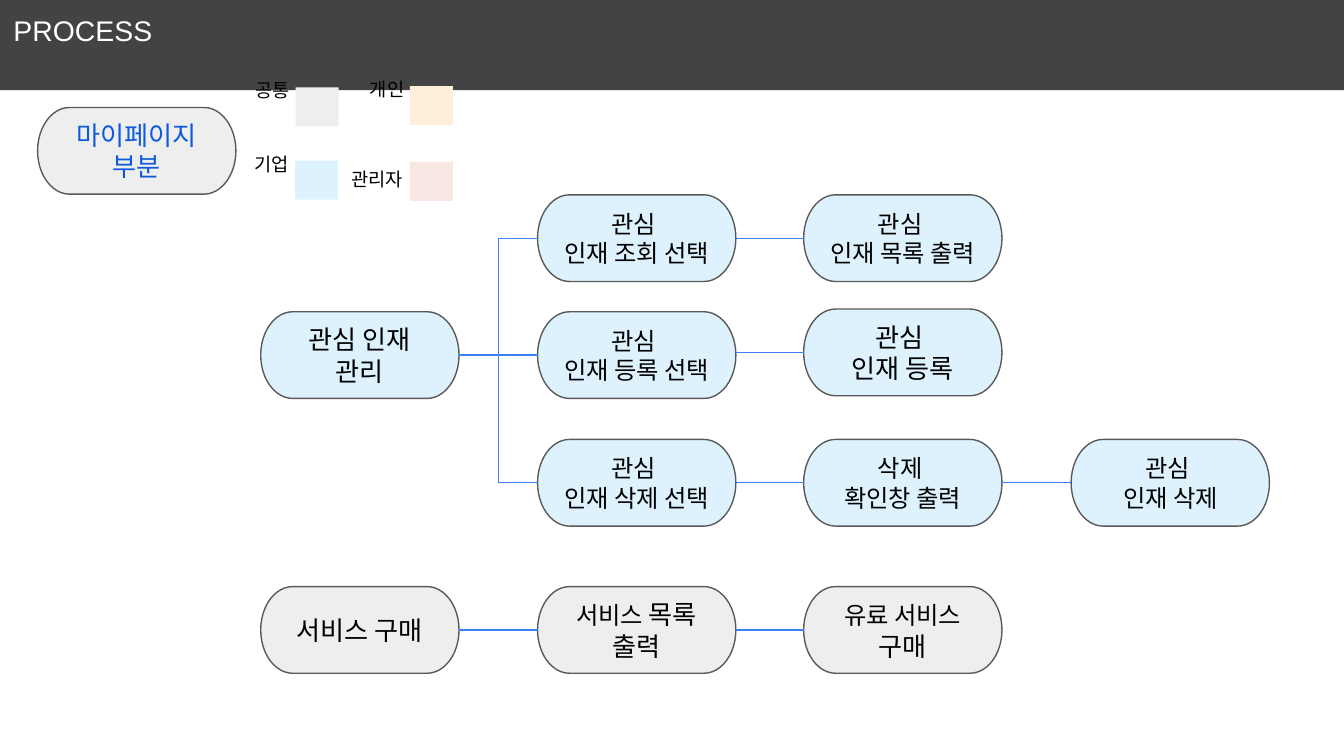
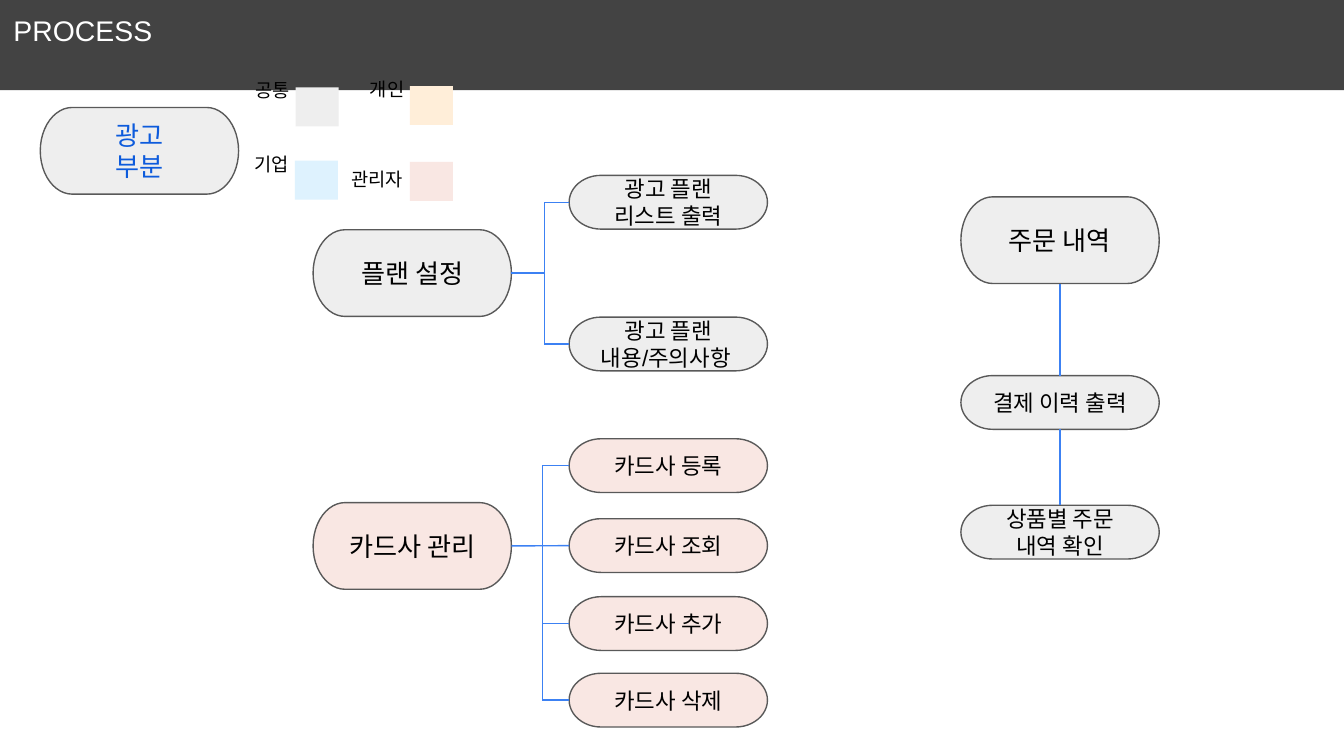
from dataclasses import dataclass
from typing import NamedTuple, Optional

from lxml.etree import SubElement as add_sub
from pptx import Presentation
from pptx.dml.color import RGBColor as Rgb
from pptx.enum.shapes import MSO_CONNECTOR as Wire, MSO_SHAPE as Form
from pptx.enum.text import MSO_ANCHOR as Anchor, MSO_AUTO_SIZE as Fit, PP_ALIGN as Align
from pptx.oxml.ns import qn
from pptx.shapes.autoshape import Shape
from pptx.slide import Slide
from pptx.text.text import TextFrame
from pptx.util import Emu, Inches, Pt

WIDE, HIGH = Inches(10), Inches(5.625)
COLS, ROWS = 100, 56.25
FONT = "Arial"
INKS = {
    "band": "434343", "white": "FFFFFF", "black": "000000", "head": "0D5BDC",
    "edge": "595959", "wire": "3C81F3", "all": "EEEEEE", "user": "FFEED9",
    "firm": "DEF2FE", "admin": "F9E7E3",
}
PILL_WIDE, PILL_TALL, PILL_LOW = 14.75, 6.45, 4.0
TOP, LEFT, BOTTOM, RIGHT = range(4)


class Run(NamedTuple):
    text: str
    size: float


Lines = tuple[tuple[Run, ...], ...]


@dataclass(frozen=True)
class Pill:
    col: float
    row: float
    lines: Lines
    fill: str = "all"
    tall: float = PILL_TALL
    ink: str = "black"


@dataclass(frozen=True)
class Key:
    name: str
    fill: str
    col: float
    row: float
    wide: float
    box_col: float
    box_row: float
    lift: float = 2.5
    inset: float = 1.0


KEYS = (
    Key("공통", "all", 17.8, 5.5, 5, 22, 6.5),
    Key("개인", "user", 26.3, 5.4, 5, 30.5, 6.4),
    Key("기업", "firm", 17.7, 11, 5, 21.95, 11.95),
    Key("관리자", "admin", 25.2, 11.1, 6.4, 30.5, 12.05, 0.5, 0.3),
)


def x(cols: float) -> Emu:
    return Emu(round(WIDE * cols / COLS))


def y(rows: float) -> Emu:
    return Emu(round(HIGH * rows / ROWS))


def hue(name: str) -> Rgb:
    return Rgb.from_string(INKS[name])


def say(text: str, size: float) -> Lines:
    return tuple((Run(part, size),) for part in text.split("\n"))


def write(frame: TextFrame, lines: Lines, ink: str, align: Align) -> None:
    frame.word_wrap = True
    for i, line in enumerate(lines):
        para = frame.paragraphs[0] if i == 0 else frame.add_paragraph()
        para.alignment = align
        for part in line:
            run = para.add_run()
            run.text = part.text
            run.font.name = FONT
            run.font.size = Pt(part.size)
            run.font.color.rgb = hue(ink)


def pad(frame: TextFrame, anchor: Anchor) -> None:
    frame.vertical_anchor = anchor
    frame.margin_left = frame.margin_right = x(1)
    frame.margin_top = frame.margin_bottom = y(1)


def paint(shape: Shape, fill: str, edge: Optional[str] = None) -> None:
    shape.shadow.inherit = False
    shape.fill.solid()
    shape.fill.fore_color.rgb = hue(fill)
    if edge:
        shape.line.color.rgb = hue(edge)
        shape.line.width = Pt(0.75)
    else:
        shape.line.fill.background()


def draw_pill(page: Slide, pill: Pill) -> Shape:
    shape = page.shapes.add_shape(
        Form.FLOWCHART_TERMINATOR, x(pill.col), y(pill.row), x(PILL_WIDE), y(pill.tall))
    paint(shape, pill.fill, "edge")
    pad(shape.text_frame, Anchor.MIDDLE)
    write(shape.text_frame, pill.lines, pill.ink, Align.CENTER)
    return shape


def draw_pills(page: Slide, pills: dict[str, Pill]) -> dict[str, Shape]:
    return {name: draw_pill(page, pill) for name, pill in pills.items()}


def draw_keys(page: Slide) -> None:
    group = page.shapes.add_group_shape()
    for key in KEYS:
        label = group.shapes.add_textbox(x(key.col), y(key.row), x(key.wide), y(4.4))
        frame = label.text_frame
        frame.vertical_anchor = Anchor.MIDDLE
        frame.margin_left = x(key.inset)
        frame.margin_bottom = y(key.lift)
        write(frame, say(key.name, 10), "black", Align.CENTER)
        box = group.shapes.add_shape(
            Form.RECTANGLE, x(key.box_col), y(key.box_row), x(3.2), y(2.9))
        paint(box, key.fill)


def wire(page: Slide, x1: int, y1: int, x2: int, y2: int):
    line = page.shapes.add_connector(Wire.STRAIGHT, x1, y1, x2, y2)
    line.line.color.rgb = hue("wire")
    line.line.width = Pt(0.75)
    add_sub(line._element.spPr, qn("a:effectLst"))
    return line


def tie(page: Slide, a: Shape, b: Shape, out: int = RIGHT, into: int = LEFT) -> None:
    line = wire(page, 0, 0, 0, 0)
    line.begin_connect(a, out)
    line.end_connect(b, into)


def chain(page: Slide, *shapes: Shape, out: int = RIGHT, into: int = LEFT) -> None:
    for a, b in zip(shapes, shapes[1:]):
        tie(page, a, b, out, into)


def mid(shape: Shape) -> int:
    return shape.top + shape.height // 2


def tree(page: Slide, root: Shape, trunk: float, leaves: list[Shape],
         through: Optional[Shape] = None) -> None:
    stem = x(trunk)
    if through:
        tie(page, root, through)
    else:
        wire(page, root.left + root.width, mid(root), stem, mid(root))
    wire(page, stem, mid(leaves[0]), stem, mid(leaves[-1]))
    for leaf in leaves:
        wire(page, leaf.left, mid(leaf), stem, mid(leaf))


def new_page(deck) -> Slide:
    page = deck.slides.add_slide(deck.slide_layouts[5])
    band = page.shapes.title
    band.left, band.top, band.width, band.height = 0, 0, WIDE, y(6.7)
    band.fill.solid()
    band.fill.fore_color.rgb = hue("band")
    frame = band.text_frame
    frame.auto_size = Fit.NONE
    pad(frame, Anchor.TOP)
    write(frame, say("PROCESS", 15.2), "white", Align.LEFT)
    return page


def my_page(deck) -> None:
    page = new_page(deck)
    c1, c2, c3, c4 = 19.4, 40, 59.8, 79.7
    r1, r2, r3, r4 = 14.5, 23.2, 32.7, 43.65
    got = draw_pills(page, {
        "head": Pill(2.8, 8, say("마이페이지 부분", 14), ink="head"),
        "care": Pill(c1, r2, say("관심 인재 관리", 14), "firm"),
        "buy": Pill(c1, r4, say("서비스 구매", 14)),
        "view": Pill(c2, r1, say("관심 \n인재 조회 선택", 13), "firm"),
        "add": Pill(c2, r2, say("관심 \n인재 등록 선택", 13), "firm"),
        "drop": Pill(c2, r3, say("관심 \n인재 삭제 선택", 13), "firm"),
        "list": Pill(c3, r1, say("관심 \n인재 목록 출력", 13), "firm"),
        "ask": Pill(c3, r3, say("삭제 \n확인창 출력", 13), "firm"),
        "added": Pill(c3, 23, say("관심 \n인재 등록", 14), "firm"),
        "gone": Pill(c4, r3, say("관심 \n인재 삭제", 13), "firm"),
        "goods": Pill(c2, r4, ((Run("서비스", 13), Run(" 목록 출력", 14)),)),
        "paid": Pill(c3, r4, ((Run("유료 서비스", 13), Run(" 구매", 14)),)),
    })
    tree(page, got["care"], 37.1, [got["view"], got["add"], got["drop"]])
    chain(page, got["view"], got["list"])
    row = mid(got["added"])
    wire(page, got["add"].left + got["add"].width, row, got["added"].left, row)
    chain(page, got["drop"], got["ask"], got["gone"])
    chain(page, got["buy"], got["goods"], got["paid"])
    draw_keys(page)


def ad_page(deck) -> None:
    page = new_page(deck)
    c1, c2, c3 = 23.3, 42.35, 71.5
    got = draw_pills(page, {
        "head": Pill(3, 8, say("광고\n부분", 14), ink="head"),
        "card": Pill(c1, 37.4, say("카드사 관리", 14), "admin"),
        "list": Pill(c2, 13.05, say("광고 플랜 리스트 출력", 12), tall=PILL_LOW),
        "note": Pill(c2, 23.6, say("광고 플랜\n내용/주의사항 ", 12), tall=PILL_LOW),
        "plan": Pill(c1, 17.1, say("플랜 설정", 14)),
        "order": Pill(c3, 14.65, say("주문 내역", 14)),
        "check": Pill(c3, 37.6, say("상품별 주문 내역 확인", 12), tall=PILL_LOW),
        "past": Pill(c3, 27.95, say("결제 이력 출력", 12), tall=PILL_LOW),
    })
    steps = (("등록", 32.65), ("조회", 38.6), ("추가", 44.4), ("삭제", 50.1))
    cards = [draw_pill(page, Pill(c2, row, say(f"카드사 {name}", 12), "admin", PILL_LOW))
             for name, row in steps]
    first, look, more, last = cards
    tree(page, got["plan"], 40.5, [got["list"], got["note"]])
    chain(page, got["order"], got["past"], got["check"], out=BOTTOM, into=TOP)
    tree(page, got["card"], 40.35, [first, more, last], look)
    draw_keys(page)


def main() -> None:
    deck = Presentation()
    deck.slide_width, deck.slide_height = WIDE, HIGH
    my_page(deck)
    ad_page(deck)
    deck.save("out.pptx")


if __name__ == "__main__":
    main()
